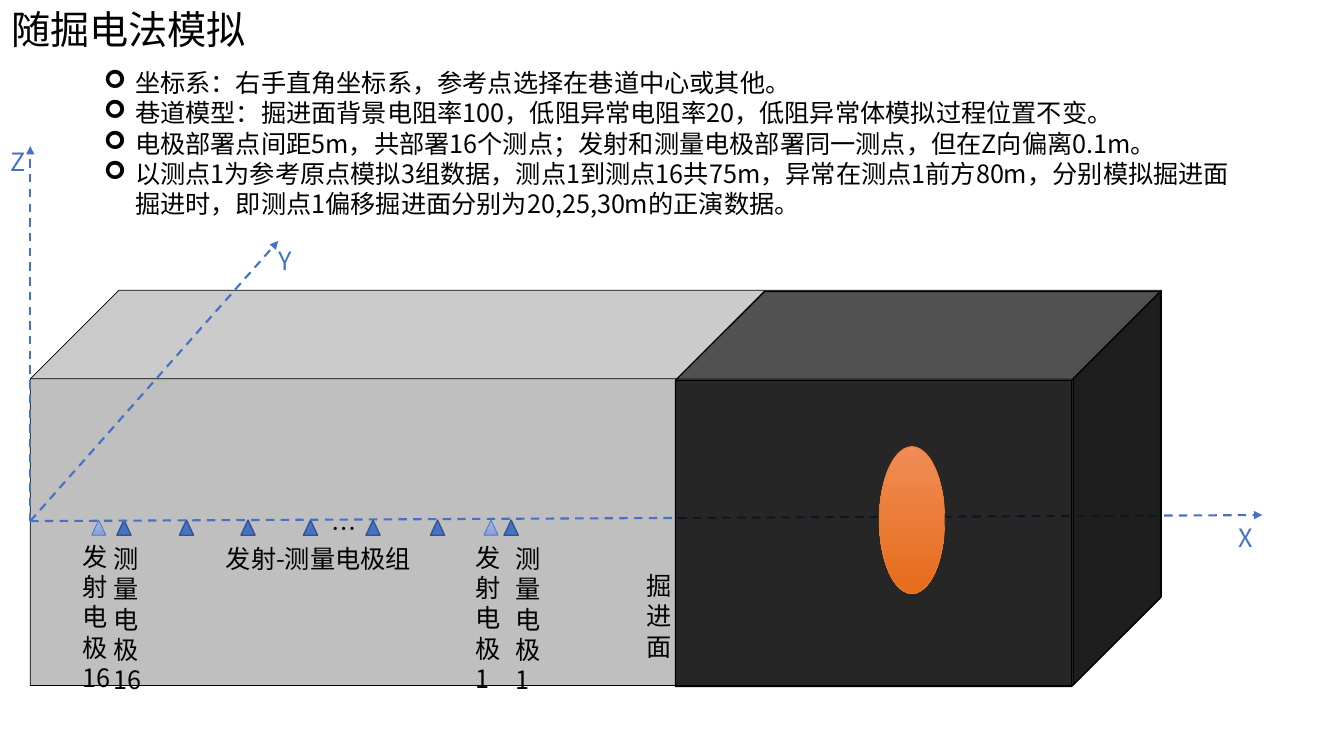
from lxml import etree
from pptx import Presentation
from pptx.dml.color import RGBColor
from pptx.enum.dml import MSO_LINE
from pptx.enum.shapes import MSO_CONNECTOR, MSO_SHAPE
from pptx.enum.text import MSO_ANCHOR, MSO_AUTO_SIZE, PP_ALIGN
from pptx.oxml.ns import qn
from pptx.util import Inches, Pt

FONT = "Noto Sans CJK SC"
BLACK, BLUE = "000000", "4472C4"
CUBE, TRIANGLE, OVAL = MSO_SHAPE.CUBE, MSO_SHAPE.ISOSCELES_TRIANGLE, MSO_SHAPE.OVAL
LEFT, TOP = PP_ALIGN.LEFT, MSO_ANCHOR.TOP
NO_FIT, STRAIGHT, DASH = MSO_AUTO_SIZE.NONE, MSO_CONNECTOR.STRAIGHT, MSO_LINE.DASH

prs = Presentation()
prs.slide_width, prs.slide_height = Inches(13.33), Inches(7.5)
slide = prs.slides.add_slide(prs.slide_layouts[1])
shapes = slide.shapes


def write(text, box, holder=None, size=18, color=BLACK, inset=(0, 0), bullet=None):
    """Put one paragraph per line of text in a placeholder or a new text box."""
    place = [Inches(v) for v in box]
    holder = holder or shapes.add_textbox(*place)
    holder.left, holder.top, holder.width, holder.height = place
    frame = holder.text_frame
    frame.text = text
    frame.word_wrap, frame.auto_size, frame.vertical_anchor = True, NO_FIT, TOP
    frame.margin_left = frame.margin_right = Inches(inset[0])
    frame.margin_top = frame.margin_bottom = Inches(inset[1])
    for paragraph in frame.paragraphs:
        paragraph.alignment = LEFT
        paragraph.line_spacing = Pt(size * 1.2)
        paragraph.space_before = paragraph.space_after = Pt(0)
        if bullet:
            props = paragraph._p.get_or_add_pPr()
            props.set("marL", str(Inches(0.31)))
            props.set("indent", str(-Inches(0.31)))
            etree.SubElement(props, qn("a:buFont")).set("typeface", "Wingdings")
            etree.SubElement(props, qn("a:buChar")).set("char", bullet)
        for run in paragraph.runs:
            run.font.size, run.font.name = Pt(size), FONT
            run.font.color.rgb = RGBColor.from_string(color)
            etree.SubElement(run._r.get_or_add_rPr(), qn("a:ea")).set("typeface", FONT)


def draw(kind, box, fill, line, width):
    """Add a preset shape; a pair of fill colours makes a top-down gradient."""
    shape = shapes.add_shape(kind, *[Inches(v) for v in box])
    shape.shadow.inherit = False
    if isinstance(fill, tuple):
        shape.fill.gradient()
        shape.fill.gradient_angle = 270
        for stop, color in zip(shape.fill.gradient_stops, fill):
            stop.color.rgb = RGBColor.from_string(color)
    else:
        shape.fill.solid()
        shape.fill.fore_color.rgb = RGBColor.from_string(fill)
    shape.line.color.rgb = RGBColor.from_string(line)
    shape.line.width = Pt(width)
    return shape


# Title and model notes
write("随掘电法模拟", (0.01, 0, 4.84, 0.57), shapes.title, size=28, inset=(0.1, 0.05))
notes = [
    "坐标系：右手直角坐标系，参考点选择在巷道中心或其他。",
    "巷道模型：掘进面背景电阻率100，低阻异常电阻率20，低阻异常体模拟过程位置不变。",
    "电极部署点间距5m，共部署16个测点；发射和测量电极部署同一测点，但在Z向偏离0.1m。",
    "以测点1为参考原点模拟3组数据，测点1到测点16共75m，异常在测点1前方80m，"
    "分别模拟掘进面掘进时，即测点1偏移掘进面分别为20,25,30m的正演数据。",
]
write("\n".join(notes), (0.93, 0.62, 11.38, 1.62), slide.placeholders[1],
      inset=(0.1, 0.05), bullet="➢")

# Tunnel
tunnel = draw(CUBE, (0.3, 2.88, 11.22, 3.92), "BFBFBF", BLACK, 0.5)
tunnel.adjustments[0] = 0.224

# Measuring and transmitting electrodes
for x in (1.16, 1.78, 2.39, 3.01, 3.63, 4.27, 5):
    draw(TRIANGLE, (x, 5.16, 0.14, 0.15), BLUE, "325491", 1)
for x in (0.91, 4.8):
    draw(TRIANGLE, (x, 5.16, 0.14, 0.15), ("A8B7DF", "889ED7"), BLUE, 0.5)
write("发射-测量电极组", (2.24, 5.39, 2.1, 0.3))
write("…", (3.29, 5.09, 0.33, 0.3))

# Coordinate axes from a shared origin
for x, y in ((0.3, 1.45), (2.76, 2.39), (12.52, 5.11)):
    axis = shapes.add_connector(STRAIGHT, Inches(0.3), Inches(5.17), Inches(x), Inches(y))
    axis.line.color.rgb = RGBColor.from_string(BLUE)
    axis.line.width, axis.line.dash_style = Pt(1.5), DASH
    etree.SubElement(axis.line._get_or_add_ln(), qn("a:tailEnd")).set("type", "triangle")
    etree.SubElement(axis._element.spPr, qn("a:effectLst"))
for letter, x, y in (("X", 12.28, 5.18), ("Y", 2.76, 2.43), ("Z", 0.1, 1.45)):
    write(letter, (x, y, 0.4, 0.26), color=BLUE)

# Rock ahead of the face, translucent, with the low-resistivity body
rock = draw(CUBE, (6.7, 2.89, 4.81, 3.92), BLACK, BLACK, 1)
rock.adjustments[0] = 0.225
rock_color = rock._element.spPr.find(qn("a:solidFill")).find(qn("a:srgbClr"))
etree.SubElement(rock_color, qn("a:alpha")).set("val", "80000")
draw(OVAL, (8.72, 4.43, 0.65, 1.46), ("F18C57", "E56C19"), "ED7D31", 0.5)

# Narrow labels, one character per line
for label, x, y, height in (
    ("掘进面", 6.41, 5.66, 0.91),
    ("发射电极1", 4.72, 5.38, 1.51),
    ("测量电极1", 5.11, 5.39, 1.51),
    ("发射电极16", 0.82, 5.37, 1.51),
    ("测量电极16", 1.13, 5.39, 1.51),
):
    write(label, (x, y, 0.38, height))

prs.save("out.pptx")
